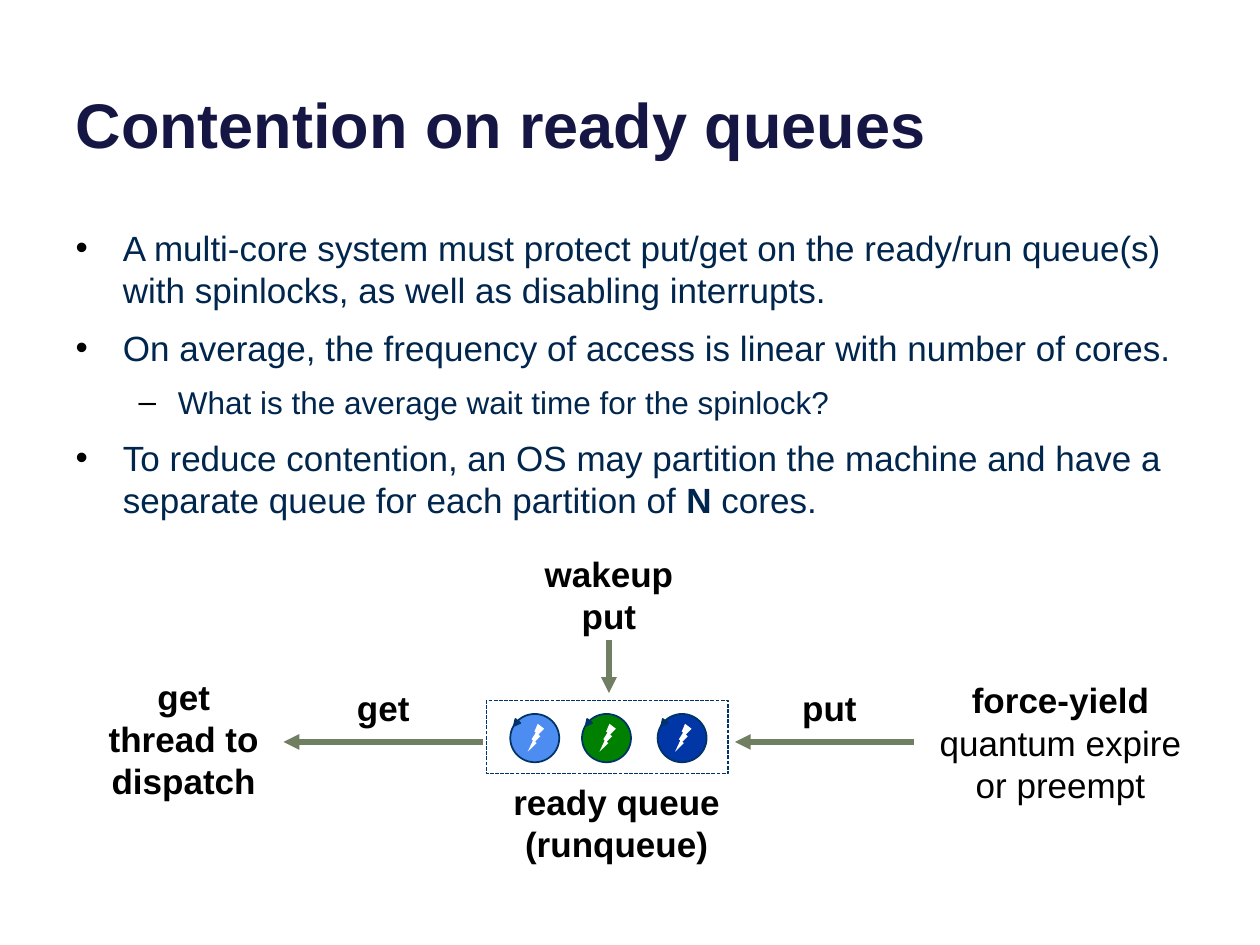
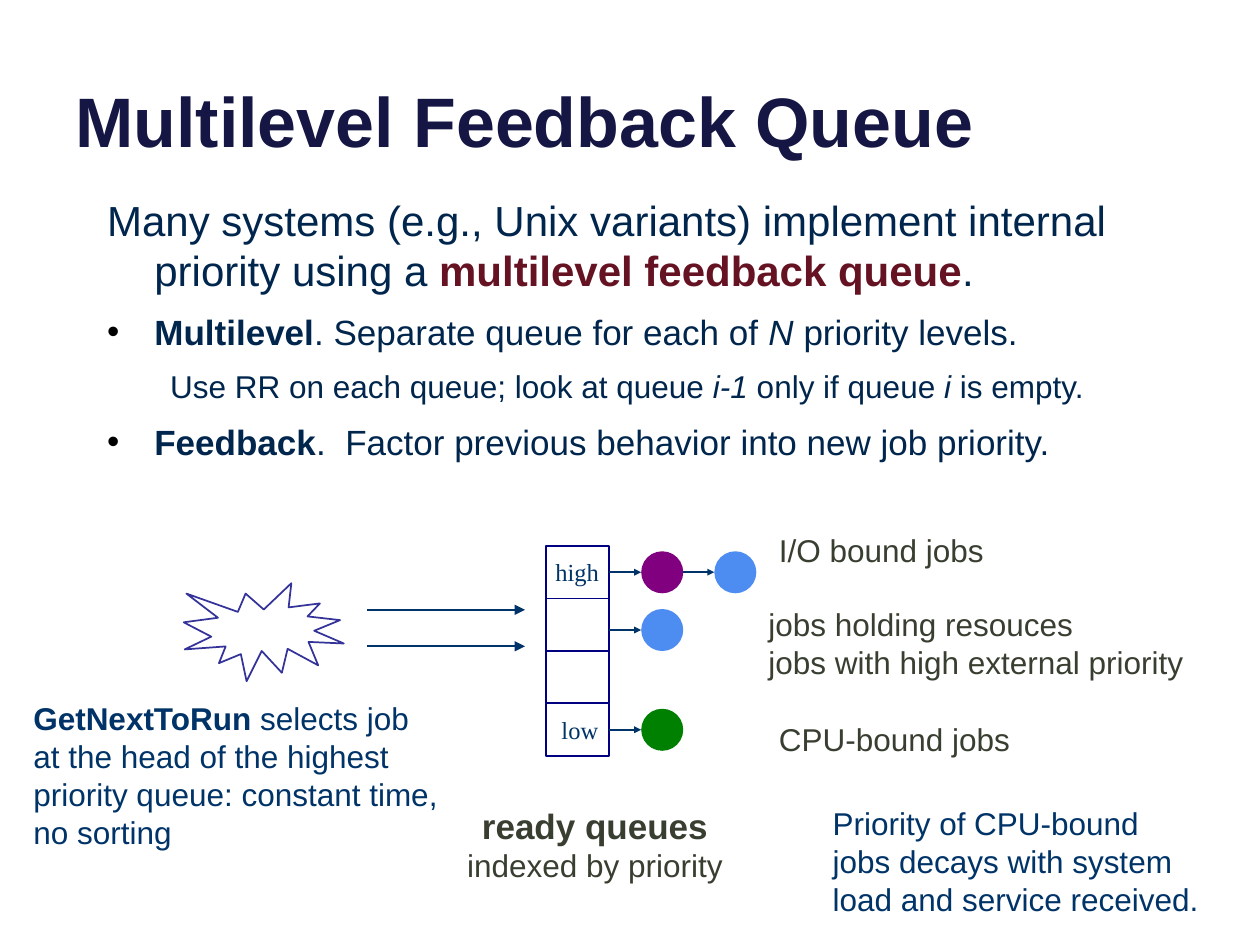
from dataclasses import dataclass

from lxml.etree import SubElement
from pptx import Presentation
from pptx.dml.color import RGBColor
from pptx.enum.dml import MSO_LINE
from pptx.enum.shapes import MSO_CONNECTOR, MSO_SHAPE
from pptx.enum.text import MSO_ANCHOR, MSO_AUTO_SIZE, PP_ALIGN
from pptx.oxml.ns import qn
from pptx.util import Pt


@dataclass(frozen=True)
class Theme:
    title: str = "161645"
    body: str = "00264D"
    accent: str = "651222"
    black: str = "000000"
    white: str = "FFFFFF"
    navy: str = "003367"
    olive: str = "383F31"
    arrow: str = "707E62"
    cell: str = "000080"
    burst: str = "333399"
    light_blue: str = "4D8CF1"
    deep_blue: str = "0036A6"
    green: str = "008000"
    purple: str = "800080"
    font: str = "Arial"
    serif: str = "Times New Roman"
    lead: int = 24
    large: int = 20
    small: int = 18
    tiny: int = 14


THEME = Theme()
BOLD, PLAIN, ITALIC = {"bold": True}, {"bold": False}, {"italic": True}

# Content: a paragraph is a list of runs, a run is a text or (text, format).
# Body items are (level, bullet, size, runs).
CONTENTION = {
    "title": "Contention on ready queues", "title_size": 36,
    "body_box": (36, 126, 648, 324),
    "body": [
        (0, "•", THEME.large, ["A multi-core system must protect put/get on the ready/run queue(s) "
                               "with spinlocks, as well as disabling interrupts."]),
        (0, "•", THEME.large, ["On average, the frequency of access is linear with number of cores."]),
        (1, "–", THEME.small, ["What is the average wait time for the spinlock?"]),
        (0, "•", THEME.large, ["To reduce contention, an OS may partition the machine and have a "
                               "separate queue for each partition of ", ("N", BOLD), " cores."]),
    ],
}
FEEDBACK = {
    "title": "Multilevel Feedback Queue", "title_size": 40,
    "body_box": (54, 107.3, 612, 172),
    "body": [
        (0, None, THEME.lead, ["Many systems (e.g., Unix variants) implement internal priority using a ",
                               ("multilevel feedback queue", {"bold": True, "color": THEME.accent}), "."]),
        (0, "•", THEME.large, [("Multilevel", BOLD), ". Separate queue for each of ",
                               ("N", ITALIC), " priority levels."]),
        (1, None, THEME.small, ["Use RR on each queue; look at queue ", ("i-1", ITALIC),
                                " only if queue ", ("i", ITALIC), " is empty."]),
        (0, "•", THEME.large, [("Feedback", BOLD), ".  Factor previous behavior into new job priority."]),
    ],
}
# Labels are (box, paragraphs); boxes are left, top, width, height.
QUEUE_LABELS = {
    "queue": ((284.4, 442, 136, 55.5), [["ready queue"], ["(runqueue)"]]),
    "get": ((168, 388.5, 102, 31.7), [["get"]]),
    "put": ((432, 388.5, 84, 31.7), [["put"]]),
    "yield": ((522, 384, 168, 80), [["force-yield"], [("quantum expire or preempt", PLAIN)]]),
    "dispatch": ((54, 382, 102, 80), [["get thread to dispatch"]]),
    "wakeup": ((300, 312, 96, 31.7), [["wakeup"]]),
    "wakeup put": ((306, 336, 84, 31.7), [["put"]]),
}
THREADS = [(291.6, THEME.light_blue), (332.6, THEME.green), (375.8, THEME.deep_blue)]
# Priority levels are (name, name left, shift of the jobs, job colours).
LEVELS = [
    ("high", 310.3, 0, [THEME.purple, THEME.light_blue]),
    ("", 0, 3, [THEME.light_blue]),
    ("", 0, 0, []),
    ("low", 313.8, 0, [THEME.green]),
]
# Notes are (box, colour, wrap, alignment, paragraphs).
NOTES = [
    ((438, 300, 198, 29), THEME.olive, True, PP_ALIGN.LEFT, [["I/O bound jobs"]]),
    ((438, 408, 148, 29), THEME.olive, False, PP_ALIGN.LEFT, [["CPU-bound jobs"]]),
    ((432, 342, 255, 51), THEME.olive, False, PP_ALIGN.LEFT,
     [["jobs holding resouces"], ["jobs with high external priority"]]),
    ((258, 456, 164, 53), THEME.olive, False, PP_ALIGN.CENTER,
     [[("ready queues", {"bold": True, "size": THEME.large})], ["indexed by priority"]]),
    ((12, 396, 258, 94), THEME.navy, True, PP_ALIGN.LEFT,
     [[("GetNextToRun", BOLD), " selects job"], ["at the head of the highest"],
      ["priority queue: constant time, no sorting"]]),
    ((468.7, 456, 227, 73), THEME.navy, False, PP_ALIGN.LEFT,
     [["Priority of CPU-bound"], ["jobs decays with system"], ["load and service received."]]),
]


# Shared helpers
def points(values):
    return [Pt(value) for value in values]


def rgb(color):
    return RGBColor.from_string(color)


def write_runs(paragraph, runs, *, size, color, font=THEME.font, bold=False,
               italic=False, align=PP_ALIGN.LEFT):
    paragraph.alignment = align
    for item in runs:
        text, changes = (item, {}) if isinstance(item, str) else item
        style = {"size": size, "color": color, "bold": bold, "italic": italic} | changes
        run = paragraph.add_run()
        run.text = text
        run.font.name = font
        run.font.size = Pt(style["size"])
        run.font.bold = style["bold"]
        run.font.italic = style["italic"]
        run.font.color.rgb = rgb(style["color"])


def next_paragraph(frame, index):
    return frame.add_paragraph() if index else frame.paragraphs[0]


def add_text(slide, box, paragraphs, *, fill=None, wrap=True, anchor=MSO_ANCHOR.TOP, **style):
    shape = slide.shapes.add_textbox(*points(box))
    if fill:
        shape.fill.solid()
        shape.fill.fore_color.rgb = rgb(fill)
    frame = shape.text_frame
    frame.word_wrap = wrap
    frame.vertical_anchor = anchor
    for index, runs in enumerate(paragraphs):
        write_runs(next_paragraph(frame, index), runs, **style)
    return shape


def add_figure(slide, kind, box, *, fill=None, line=None, width=1.0, rotation=0):
    shape = slide.shapes.add_shape(kind, *points(box))
    shape.shadow.inherit = False
    shape.rotation = rotation
    if fill:
        shape.fill.solid()
        shape.fill.fore_color.rgb = rgb(fill)
    else:
        shape.fill.background()
    if line:
        shape.line.color.rgb = rgb(line)
        shape.line.width = Pt(width)
    else:
        shape.line.fill.background()
    return shape


def add_arrow(slide, start, end, *, color=THEME.navy, width=1.0, head="med",
              source=None, side=3):
    arrow = slide.shapes.add_connector(MSO_CONNECTOR.STRAIGHT, *points(start + end))
    if source is not None:
        arrow.begin_connect(source, side)
    arrow.line.color.rgb = rgb(color)
    arrow.line.width = Pt(width)
    SubElement(arrow.line._get_or_add_ln(), qn("a:tailEnd"), type="triangle", w=head, len=head)
    SubElement(arrow._element.spPr, qn("a:effectLst"))


def format_item(paragraph, level, bullet, first):
    properties = paragraph._p.get_or_add_pPr()
    margin, hanging = ((27, 27), (58.5, 22.5))[level]
    properties.set("marL", str(int(Pt(margin))))
    properties.set("indent", str(-int(Pt(hanging))))
    if bullet:
        color = SubElement(properties, qn("a:buClr"))
        SubElement(color, qn("a:srgbClr"), val=THEME.black)
        SubElement(properties, qn("a:buFont"), typeface=THEME.font)
        SubElement(properties, qn("a:buChar"), char=bullet)
    else:
        SubElement(properties, qn("a:buNone"))
    paragraph.level = level
    paragraph.space_before = Pt(0 if first else 9 - level)


def place(placeholder, box, anchor):
    placeholder.left, placeholder.top, placeholder.width, placeholder.height = points(box)
    frame = placeholder.text_frame
    frame.auto_size = MSO_AUTO_SIZE.NONE
    frame.word_wrap = True
    frame.vertical_anchor = anchor
    return frame


def add_content_slide(presentation, content):
    slide = presentation.slides.add_slide(presentation.slide_layouts[1])
    title = place(slide.shapes.title, (36, -26.6, 648, 122.4), MSO_ANCHOR.BOTTOM)
    write_runs(title.paragraphs[0], [content["title"]], size=content["title_size"],
               color=THEME.title, bold=True)
    body = place(slide.placeholders[1], content["body_box"], MSO_ANCHOR.TOP)
    for index, (level, bullet, size, runs) in enumerate(content["body"]):
        paragraph = next_paragraph(body, index)
        format_item(paragraph, level, bullet, index == 0)
        write_runs(paragraph, runs, size=size, color=THEME.body)
    return slide


# Ready queue diagram
def add_thread(slide, left, color, top=408):
    add_figure(slide, MSO_SHAPE.OVAL, (left, top, 28, 27.6), fill=color, line=THEME.navy)
    bolt = add_figure(slide, MSO_SHAPE.LIGHTNING_BOLT, (left + 10, top + 5.6, 9.4, 16),
                      fill=THEME.white)
    bolt._element.spPr.find(qn("a:xfrm")).set("flipH", "1")
    add_figure(slide, MSO_SHAPE.ISOSCELES_TRIANGLE, (left + 1.4, top + 3.6, 3.6, 3.6),
               fill=THEME.navy, line=THEME.navy, rotation=219)


def draw_ready_queue(slide):
    for left, color in THREADS:
        add_thread(slide, left, color)
    queue = add_figure(slide, MSO_SHAPE.RECTANGLE, (278, 400.3, 138, 41.8),
                       line=THEME.navy, width=0.75)
    queue.line.dash_style = MSO_LINE.SQUARE_DOT
    open_labels = ("queue", "wakeup put")
    labels = {
        name: add_text(slide, box, paragraphs, size=THEME.large, color=THEME.black, bold=True,
                       fill=None if name in open_labels else THEME.white,
                       anchor=MSO_ANCHOR.MIDDLE, align=PP_ALIGN.CENTER)
        for name, (box, paragraphs) in QUEUE_LABELS.items()
    }
    thick = {"color": THEME.arrow, "width": 3}
    add_arrow(slide, (276, 424), (162, 424), **thick)
    add_arrow(slide, (522, 424), (420, 424), source=labels["yield"], side=1, **thick)
    add_arrow(slide, (348, 366), (348, 396), **thick)


# Multilevel queue diagram
def draw_levels(slide):
    left, top, width, height = 312, 312, 36, 30
    job_size, first_job, job_pitch = 24, 366.4, 41.8
    for index, (name, name_left, shift, jobs) in enumerate(LEVELS):
        cell_top = top + index * height
        cell = add_figure(slide, MSO_SHAPE.RECTANGLE, (left, cell_top, width, height),
                          line=THEME.cell)
        if name:
            add_text(slide, (name_left, cell_top + 3, 50, 24), [[name]], wrap=True,
                     size=THEME.tiny, color=THEME.navy, font=THEME.serif)
        middle = cell_top + height / 2 + shift
        start = left + width
        source = None if shift else cell
        for position, color in enumerate(jobs):
            job_left = first_job + position * job_pitch
            add_figure(slide, MSO_SHAPE.OVAL,
                       (job_left, middle - job_size / 2, job_size, job_size), fill=color)
            add_arrow(slide, (start, middle), (job_left, middle), head="sm", source=source)
            start, source = job_left + job_size, None


def draw_feedback_queue(slide):
    add_figure(slide, MSO_SHAPE.EXPLOSION1, (105, 333.3, 91.5, 56),
               fill=THEME.white, line=THEME.burst)
    draw_levels(slide)
    for height in (348.5, 369.3):
        add_arrow(slide, (210, height), (300, height))
    for box, color, wrap, align, paragraphs in NOTES:
        add_text(slide, box, paragraphs, size=THEME.small, color=color, wrap=wrap, align=align)


def main():
    presentation = Presentation()
    presentation.slide_width, presentation.slide_height = Pt(720), Pt(540)
    draw_ready_queue(add_content_slide(presentation, CONTENTION))
    draw_feedback_queue(add_content_slide(presentation, FEEDBACK))
    presentation.save("out.pptx")


if __name__ == "__main__":
    main()
